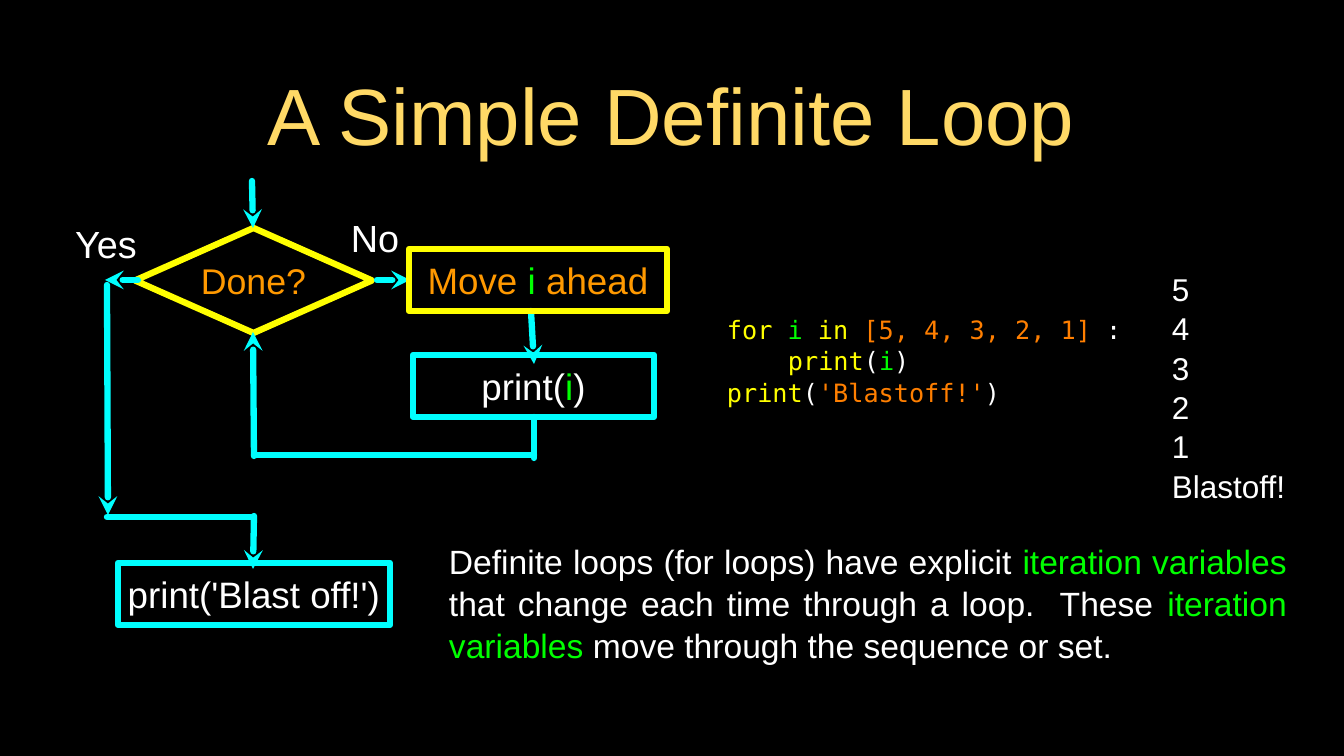
from lxml import etree
from pptx import Presentation
from pptx.dml.color import RGBColor
from pptx.enum.shapes import MSO_CONNECTOR, MSO_SHAPE
from pptx.enum.text import MSO_ANCHOR, PP_ALIGN
from pptx.oxml.ns import qn
from pptx.util import Emu, Inches, Pt

PIXEL = Inches(1) / 75.6
RECTANGLE, DIAMOND = MSO_SHAPE.RECTANGLE, MSO_SHAPE.DIAMOND
STRAIGHT = MSO_CONNECTOR.STRAIGHT
MIDDLE = MSO_ANCHOR.MIDDLE
LEFT, CENTER, JUSTIFY = PP_ALIGN.LEFT, PP_ALIGN.CENTER, PP_ALIGN.JUSTIFY
TITLE_ONLY = 5

BLACK, WHITE, GOLD = "000000", "FFFFFF", "FFD966"
YELLOW, CYAN, GREEN = "FFFF00", "00FFFF", "00FF00"
ORANGE, CODE_ORANGE = "FF9900", "FF7F00"
SANS, MONO = "Arial", "DejaVu Sans Mono"


def px(length):
    """Turn picture pixels into EMU."""
    return Emu(round(length * PIXEL))


def color(value):
    """Turn a hex string into a colour."""
    return RGBColor.from_string(value)


class LoopSlide:
    """Holds the current slide and its drawing style."""

    line_width = Pt(6)

    def __init__(self, presentation):
        """Add a slide with a black background."""
        self.slide = presentation.slides.add_slide(presentation.slide_layouts[TITLE_ONLY])
        fill = self.slide.background.fill
        fill.solid()
        fill.fore_color.rgb = color(BLACK)

    def fill_text(self, shape, paragraphs, size, font=SANS, align=CENTER, spacing=1.0, inset=0):
        """Fill a shape with paragraphs, each a list of (text, colour) runs."""
        frame = shape.text_frame
        frame_format = {"word_wrap": True, "vertical_anchor": MIDDLE}
        for side in ("left", "top", "right", "bottom"):
            frame_format[f"margin_{side}"] = px(inset)
        for name, value in frame_format.items():
            setattr(frame, name, value)
        for index, runs in enumerate(paragraphs):
            paragraph = frame.add_paragraph() if index else frame.paragraphs[0]
            paragraph.alignment = align
            paragraph.line_spacing = spacing
            for text, run_color in runs:
                run = paragraph.add_run()
                run.text = text
                for name, value in {"size": Pt(size), "name": font}.items():
                    setattr(run.font, name, value)
                run.font.color.rgb = color(run_color)

    def title(self, box, text, size, text_color):
        """Place the title placeholder."""
        shape = self.slide.shapes.title
        for name, value in zip(("left", "top", "width", "height"), box):
            setattr(shape, name, px(value))
        self.fill_text(shape, [[(text, text_color)]], size, inset=3)

    def text(self, box, paragraphs, size, **style):
        """Add a text box and return it."""
        shape = self.slide.shapes.add_textbox(*map(px, box))
        self.fill_text(shape, paragraphs, size, **style)
        return shape

    def step(self, kind, box, line_color, runs, size=35):
        """Add an outlined flowchart shape."""
        shape = self.slide.shapes.add_shape(kind, *map(px, box))
        shape.shadow.inherit = False
        shape.fill.background()
        shape.line.color.rgb = color(line_color)
        shape.line.width = self.line_width
        outline = shape.element.spPr.find(qn("a:ln"))
        etree.SubElement(outline, qn("a:round"))
        self.fill_text(shape, [runs], size)

    def flow(self, start, end, arrow=True):
        """Add a flow line, with an arrowhead at its end if asked."""
        connector = self.slide.shapes.add_connector(STRAIGHT, *map(px, start + end))
        connector.line.color.rgb = color(CYAN)
        connector.line.width = self.line_width
        properties = connector.element.spPr
        outline = properties.find(qn("a:ln"))
        outline.set("cap", "rnd")
        etree.SubElement(outline, qn("a:round"))
        if arrow:
            etree.SubElement(outline, qn("a:tailEnd"), type="stealth")
        etree.SubElement(properties, qn("a:effectLst"))


def indent(paragraph, length):
    """Indent a whole paragraph from the left."""
    properties = paragraph._p.get_or_add_pPr()
    properties.set("marL", str(px(length)))
    properties.set("indent", "0")


presentation = Presentation()
presentation.slide_width = px(1344)
presentation.slide_height = px(756)
loop = LoopSlide(presentation)

loop.title((95, 67, 1152, 94), "A Simple Definite Loop", 76, GOLD)

code = loop.text((727, 291, 422, 138), [
    [("for ", YELLOW), ("i ", GREEN), ("in ", YELLOW),
     ("[5, 4, 3, 2, 1] ", CODE_ORANGE), (":", WHITE)],
    [("print", YELLOW), ("(", WHITE), ("i", GREEN), (")", WHITE)],
    [("print", YELLOW), ("(", WHITE), ("'Blastoff!'", CODE_ORANGE), (")", WHITE)],
], 24, font=MONO, align=LEFT, spacing=1.04)
indent(code.text_frame.paragraphs[1], 61)

output = ["5", "4", "3", "2", "1", "Blastoff!"]
loop.text((1172, 253, 138, 267), [[(line, WHITE)] for line in output],
          30, align=LEFT, spacing=1.04)

loop.step(DIAMOND, (135, 228, 237, 105), YELLOW, [("Done?", ORANGE)], size=34)

for start, end in [
    ((252, 181), (253, 228)),
    ((254, 456), (253, 332)),
    ((531, 311), (534, 364)),
    ((138, 280), (105, 280)),
    ((254, 516), (253, 569)),
    ((107, 285), (108, 515)),
    ((377, 280), (410, 280)),
]:
    loop.flow(start, end)
for start, end in [
    ((534, 417), (534, 458)),
    ((254, 455), (534, 455)),
    ((107, 517), (253, 517)),
]:
    loop.flow(start, end, arrow=False)

for box, answer in [((57, 218, 98, 51), "Yes"), ((345, 212, 60, 51), "No")]:
    loop.text(box, [[(answer, WHITE)]], 36)

for box, line_color, runs in [
    ((118, 563, 272, 62), CYAN, [("print('Blast off!')", WHITE)]),
    ((413, 355, 241, 62), CYAN, [("print(", WHITE), ("i", GREEN), (")", WHITE)]),
    ((409, 249, 258, 62), YELLOW, [("Move ", ORANGE), ("i", GREEN), (" ahead", ORANGE)]),
]:
    loop.step(RECTANGLE, box, line_color, runs)

loop.text((449, 533, 838, 138), [[
    ("Definite loops (for loops) have explicit ", WHITE),
    ("iteration variables ", GREEN),
    ("that change each time through a loop.  These ", WHITE),
    ("iteration variables", GREEN),
    (" move through the sequence or set.", WHITE),
]], 32, align=JUSTIFY, spacing=1.05)

presentation.save("out.pptx")
